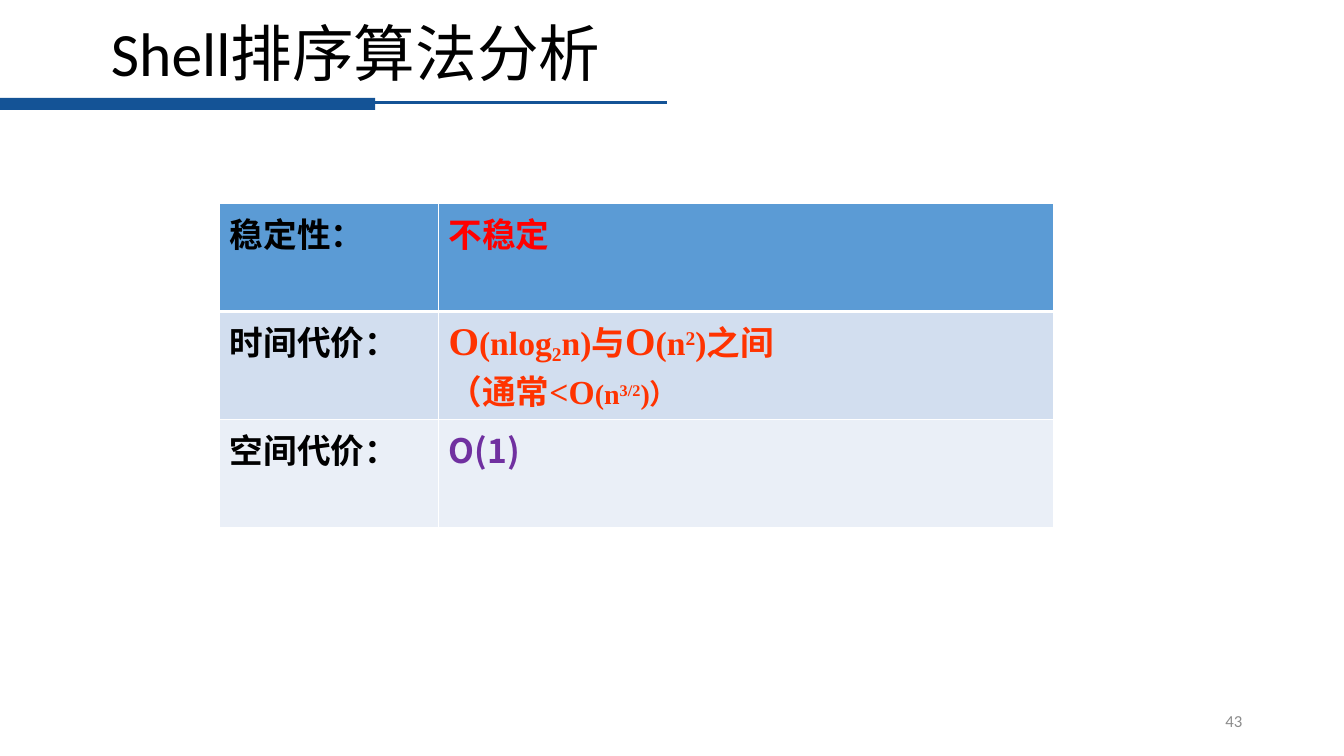
"""Builds the Shell sort analysis slide."""
from lxml import etree
from pptx import Presentation
from pptx.dml.color import RGBColor
from pptx.enum import shapes, text
from pptx.oxml import ns
from pptx.util import Inches, Pt

COLORS = {"bar": "145396", "black": "000000", "number": "8C8C8C", "border": "FFFFFF",
          "unstable": "FF0000", "time": "FF3300", "space": "7030A0"}
LATIN, CJK, SERIF = "Calibri", "Noto Sans CJK SC", "Times New Roman"
TITLE = "Shell排序算法分析"
PAGE = "43"
ROW_FILLS = ["5B9BD5", "D2DEEF", "EAEFF7"]
COLUMN_WIDTHS = [2.17, 6.1]
ROW_HEIGHT = 1.07

TIME_COST = [
    [("O", 28, 0), ("(nlog", 24, 0), ("2", 24, -18), ("n)与", 24, 0), ("O", 28, 0),
     ("(n", 24, 0), ("2", 24, 30), (")之间", 24, 0)],
    [("（通常<O", 24, 0), ("(n", 20, 0), ("3/2", 20, 30), (")）", 20, 0)],
]
ANALYSIS = [
    ("稳定性：", [[("不稳定", 24, 0)]], CJK, "unstable"),
    ("时间代价：", TIME_COST, SERIF, "time"),
    ("空间代价：", [[("O(1)", 24, 0)]], CJK, "space"),
]


def rgb(value):
    return RGBColor.from_string(value)


def style(run, size, font, color, bold=False, baseline=0):
    run.font.size = Pt(size)
    run.font.name = font
    run.font.bold = bold
    run.font.color.rgb = rgb(COLORS[color])
    properties = run.font._element
    etree.SubElement(properties, ns.qn("a:ea"), typeface=CJK)
    if baseline:
        properties.set("baseline", str(baseline * 1000))


def write(frame, paragraphs, font, color, bold=False):
    for index, pieces in enumerate(paragraphs):
        paragraph = frame.add_paragraph() if index else frame.paragraphs[0]
        for wording, size, baseline in pieces:
            run = paragraph.add_run()
            run.text = wording
            style(run, size, font, color, bold, baseline)


def set_borders(cell, top, bottom):
    properties = cell._tc.get_or_add_tcPr()
    for side, width in (("L", 1), ("R", 1), ("T", top), ("B", bottom)):
        border = etree.SubElement(properties, ns.qn(f"a:ln{side}"), w=str(Pt(width)))
        fill = etree.SubElement(border, ns.qn("a:solidFill"))
        etree.SubElement(fill, ns.qn("a:srgbClr"), val=COLORS["border"])


def add_header(slide):
    bar = slide.shapes.add_shape(shapes.MSO_SHAPE.RECTANGLE, Inches(0), Inches(0.97),
                                 Inches(3.72), Inches(0.12))
    bar.shadow.inherit = False
    bar.fill.solid()
    bar.fill.fore_color.rgb = rgb(COLORS["bar"])
    bar.line.fill.background()

    rule = slide.shapes.add_connector(shapes.MSO_CONNECTOR.STRAIGHT, Inches(3.68),
                                      Inches(1.02), Inches(6.62), Inches(1.02))
    rule.line.color.rgb = rgb(COLORS["bar"])
    rule.line.width = Pt(2.25)
    etree.SubElement(rule._element.spPr, ns.qn("a:effectLst"))

    title = slide.shapes.title
    title.left, title.top = Inches(1), Inches(0.15)
    title.width, title.height = Inches(11.5), Inches(0.83)
    title.text_frame.vertical_anchor = text.MSO_ANCHOR.MIDDLE
    write(title.text_frame, [[(TITLE, 44, 0)]], LATIN, "black")
    title.text_frame.paragraphs[0].alignment = text.PP_ALIGN.LEFT
    title.text_frame.paragraphs[0].line_spacing = 0.9


def add_analysis(slide):
    table = slide.shapes.add_table(
        len(ANALYSIS), len(COLUMN_WIDTHS), Inches(2.18), Inches(2.02),
        Inches(sum(COLUMN_WIDTHS)), Inches(ROW_HEIGHT * len(ANALYSIS))).table
    for column, width in zip(table.columns, COLUMN_WIDTHS):
        column.width = Inches(width)
    for index, (label, finding, font, color) in enumerate(ANALYSIS):
        table.rows[index].height = Inches(ROW_HEIGHT)
        label_cell, finding_cell = table.cell(index, 0), table.cell(index, 1)
        write(label_cell.text_frame, [[(label, 24, 0)]], LATIN, "black", True)
        write(finding_cell.text_frame, finding, font, color, True)
        for cell in (label_cell, finding_cell):
            set_borders(cell, 3 if index == 1 else 1, 3 if index == 0 else 1)
            cell.fill.solid()
            cell.fill.fore_color.rgb = rgb(ROW_FILLS[index])


def add_page_number(slide):
    number = slide.shapes.add_textbox(Inches(9.42), Inches(6.95), Inches(3), Inches(0.4))
    number.text_frame.word_wrap = True
    number.text_frame.vertical_anchor = text.MSO_ANCHOR.MIDDLE
    write(number.text_frame, [[(PAGE, 12, 0)]], LATIN, "number")
    number.text_frame.paragraphs[0].alignment = text.PP_ALIGN.RIGHT


def main():
    deck = Presentation()
    deck.slide_width, deck.slide_height = Inches(13.33), Inches(7.5)
    slide = deck.slides.add_slide(deck.slide_layouts[5])
    add_header(slide)
    add_analysis(slide)
    add_page_number(slide)
    deck.save("out.pptx")


if __name__ == "__main__":
    main()
